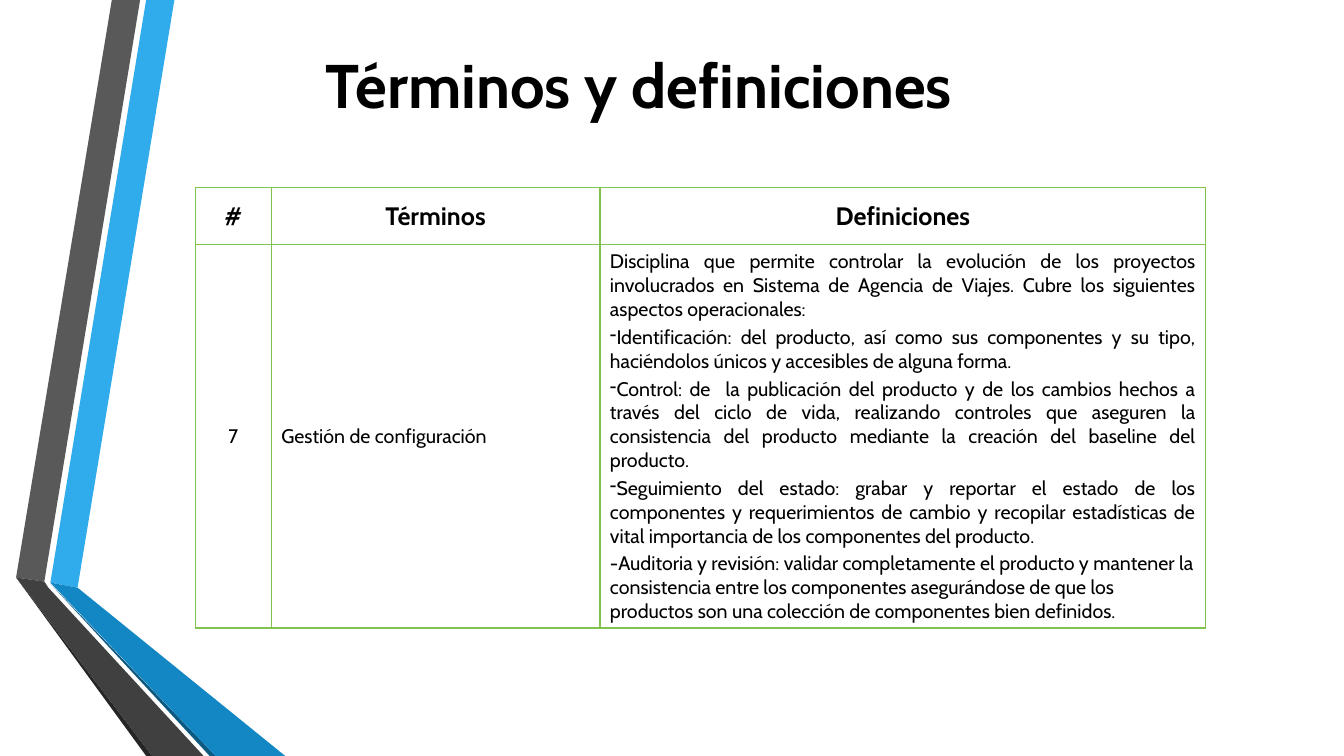
from pptx import Presentation
from pptx.dml.color import RGBColor
from pptx.enum.text import MSO_ANCHOR as Anchor, MSO_AUTO_SIZE as AutoSize, PP_ALIGN as Align
from pptx.oxml.ns import qn
from pptx.util import Inches, Pt
from lxml.etree import SubElement

RIBBONS = [
    ("30ACEC", [(0.5, 5.78), (0.77, 5.83), (1.73, 0), (1.45, 0)]),
    ("595959", [(1.39, 0), (1.11, 0), (0.16, 5.73), (0.44, 5.77)]),
    ("262626", [(0.16, 5.73), (1.45, 7.5), (1.51, 7.5)]),
    ("0C5A82", [(0.5, 5.79), (2.08, 7.5), (2.14, 7.5)]),
    ("1287C3", [(0.5, 5.78), (2.14, 7.5), (2.83, 7.5), (0.77, 5.83)]),
    ("404040", [(2.02, 7.5), (0.48, 5.83), (0.44, 5.77), (0.16, 5.73), (1.51, 7.5)]),
]
HEADERS = ["#", "Términos", "Definiciones"]
INTRO = ("Disciplina que permite controlar la evolución de los proyectos involucrados en "
         "Sistema de Agencia de Viajes. Cubre los siguientes aspectos operacionales:")
ASPECTS = [
    "Identificación: del producto, así como sus componentes y su tipo, haciéndolos únicos y "
    "accesibles de alguna forma.",
    "Control: de  la publicación del producto y de los cambios hechos a través del ciclo de "
    "vida, realizando controles que aseguren la consistencia del producto mediante la creación "
    "del baseline del producto. ",
    "Seguimiento del estado: grabar y reportar el estado de los componentes y requerimientos "
    "de cambio y recopilar estadísticas de vital importancia de los componentes del producto.",
]
AUDIT = ("-Auditoria y revisión: validar completamente el producto y mantener la consistencia "
         "entre los componentes asegurándose de que los productos son una colección de "
         "componentes bien definidos.")


def color(value):
    return RGBColor.from_string(value)


class SlideBuilder:
    font = "Cabin"
    ink = "000000"
    border = "80C34F"

    def __init__(self, s):
        self.s = s

    def style(self, p, size, bold=False, align=Align.LEFT):
        p.alignment = align
        p.font.name, p.font.size, p.font.bold = self.font, Pt(size), bold
        p.font.color.rgb = color(self.ink)

    def title(self, text, box):
        sp = self.s.shapes.title
        sp.left, sp.top, sp.width, sp.height = map(Inches, box)
        tf = sp.text_frame
        tf.text = text
        tf.word_wrap = False
        tf.auto_size = AutoSize.SHAPE_TO_FIT_TEXT
        tf.vertical_anchor = Anchor.TOP
        self.style(tf.paragraphs[0], 44, bold=True)

    def ribbon(self, fill, points):
        corners = [(Inches(x), Inches(y)) for x, y in points]
        builder = self.s.shapes.build_freeform(*corners[0])
        builder.add_line_segments(corners[1:])
        sp = builder.convert_to_shape()
        sp.shadow.inherit = False
        sp.fill.solid()
        sp.fill.fore_color.rgb = color(fill)
        sp.line.fill.background()

    def table(self, left, top, widths, heights):
        frame = self.s.shapes.add_table(len(heights), len(widths), Inches(left), Inches(top),
                                        Inches(sum(widths)), Inches(sum(heights)))
        table = frame.table
        table.first_row = table.horz_banding = False
        for column, width in zip(table.columns, widths):
            column.width = Inches(width)
        for row, height in zip(table.rows, heights):
            row.height = Inches(height)
        return table

    def cell(self, cell, paragraphs, size, bold=False):
        """Fill a cell with (text, alignment, bullet) paragraphs."""
        self.cell_borders(cell)
        cell.fill.background()
        cell.vertical_anchor = Anchor.MIDDLE
        tf = cell.text_frame
        for i, (text, align, bullet) in enumerate(paragraphs):
            p = tf.add_paragraph() if i else tf.paragraphs[0]
            p.text = text
            self.style(p, size, bold, align)
            p.space_before = Pt(size * 0.2)
            if bullet:
                pPr = p._p.get_or_add_pPr()
                char = pPr.makeelement(qn("a:buChar"), {"char": bullet})
                pPr.find(qn("a:defRPr")).addprevious(char)

    def cell_borders(self, cell):
        tcPr = cell._tc.get_or_add_tcPr()
        for side in "LRTB":
            ln = SubElement(tcPr, qn("a:ln" + side), w=str(Pt(1)))
            fill = SubElement(ln, qn("a:solidFill"))
            SubElement(fill, qn("a:srgbClr"), val=self.border)


def main():
    prs = Presentation()
    prs.slide_width, prs.slide_height = Inches(13.33), Inches(7.5)
    slide = SlideBuilder(prs.slides.add_slide(prs.slide_layouts[5]))

    for fill, points in RIBBONS:
        slide.ribbon(fill, points)
    slide.title("Términos y definiciones", (3.13, 0.42, 6.44, 0.84))

    terms = slide.table(1.94, 1.86, [0.75, 3.26, 6.01], [0.57, 3.8])
    for col, header in enumerate(HEADERS):
        slide.cell(terms.cell(0, col), [(header, Align.CENTER, None)], 18, bold=True)
    definition = [(INTRO, Align.JUSTIFY, None),
                  *((aspect, Align.JUSTIFY, "-") for aspect in ASPECTS),
                  (AUDIT, Align.LEFT, None)]
    entry = [[("7", Align.CENTER, None)],
             [("Gestión de configuración", Align.LEFT, None)],
             definition]
    for col, paragraphs in enumerate(entry):
        slide.cell(terms.cell(1, col), paragraphs, 14)

    prs.save("out.pptx")


if __name__ == "__main__":
    main()
